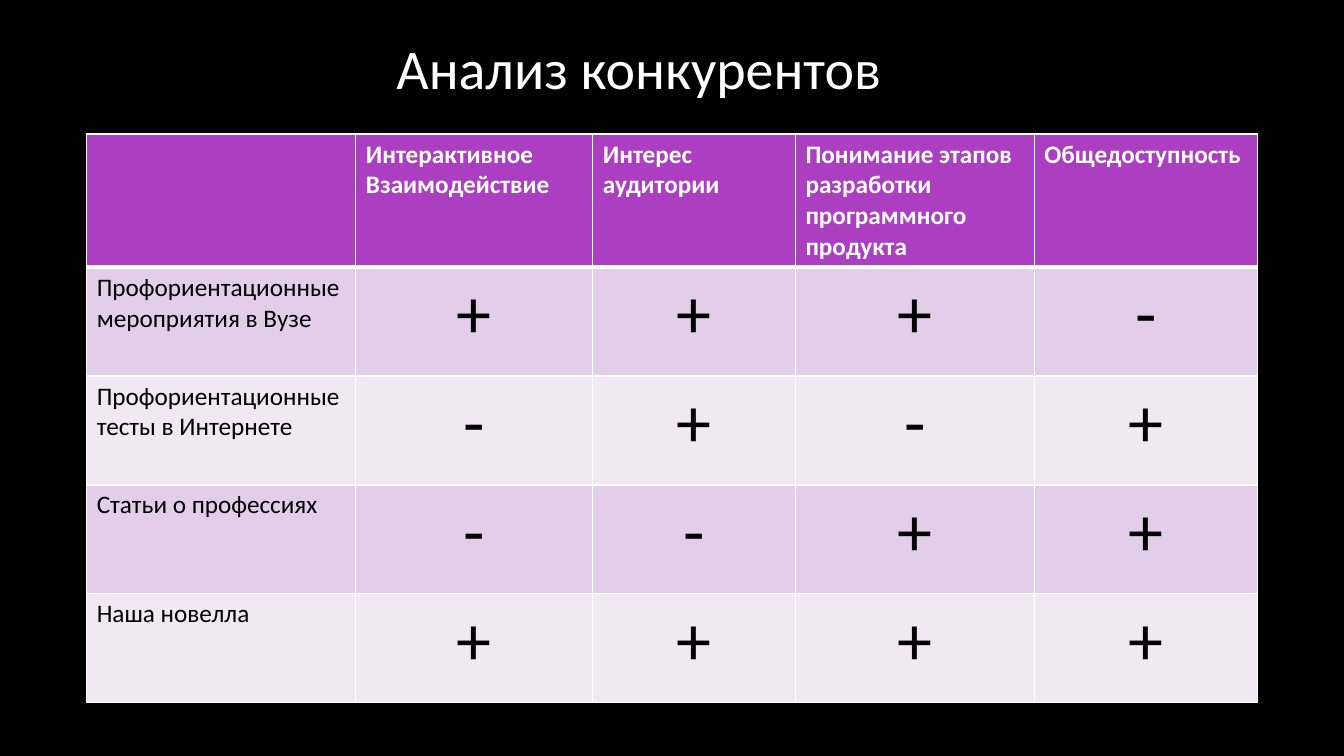
import pptx
import pptx.util
import pptx.dml.color
import pptx.enum.text
import pptx.oxml.ns
import lxml.etree

Inches = pptx.util.Inches
Pt = pptx.util.Pt

TITLE = "Анализ конкурентов"
HEADERS = ["", "Интерактивное Взаимодействие", "Интерес аудитории",
           "Понимание этапов разработки программного продукта", "Общедоступность"]
COMPETITORS = [
    ("Профориентационные мероприятия в Вузе", "+++-"),
    ("Профориентационные тесты в Интернете", "-+-+"),
    ("Статьи о профессиях", "--++"),
    ("Наша новелла", "++++"),
]
COLUMN_WIDTHS = [2.67, 2.35, 2.01, 2.37, 2.21]
HEADER_HEIGHT, ROW_HEIGHT = 1.3, 1.08
COLORS = {"background": "000000", "light": "FFFFFF", "dark": "000000",
          "header": "AC3EC1", "odd": "E3CEE9", "even": "F1E8F4"}


def rgb(name):
    return pptx.dml.color.RGBColor.from_string(COLORS[name])


def format_text(tf, size, color, bold=False, centered=False):
    p = tf.paragraphs[0]
    if centered:
        p.alignment = pptx.enum.text.PP_ALIGN.CENTER
    for r in p.runs:
        r.font.name = "Calibri"
        r.font.size = Pt(size)
        r.font.bold = bold
        r.font.color.rgb = rgb(color)


def set_borders(cell, widths):
    tcPr = cell._tc.get_or_add_tcPr()
    qn = pptx.oxml.ns.qn
    for side, width in widths.items():
        ln = lxml.etree.SubElement(tcPr, qn(f"a:ln{side}"), w=str(Pt(width)))
        fill = lxml.etree.SubElement(ln, qn("a:solidFill"))
        lxml.etree.SubElement(fill, qn("a:srgbClr"), val=COLORS["light"])


prs = pptx.Presentation()
prs.slide_width, prs.slide_height = Inches(13.33), Inches(7.5)
s = prs.slides.add_slide(prs.slide_layouts[5])
s.background.fill.solid()
s.background.fill.fore_color.rgb = rgb("background")

title = s.shapes.title
title.left, title.top = Inches(2.08), Inches(0.14)
title.width, title.height = Inches(8.51), Inches(1.06)
title.text_frame.text = TITLE
title.text_frame.vertical_anchor = pptx.enum.text.MSO_ANCHOR.MIDDLE
format_text(title.text_frame, 40, "light", centered=True)

rows = [HEADERS] + [[name, *marks] for name, marks in COMPETITORS]
heights = [HEADER_HEIGHT] + [ROW_HEIGHT] * len(COMPETITORS)
table = s.shapes.add_table(len(rows), len(HEADERS), Inches(0.86), Inches(1.33),
                           Inches(sum(COLUMN_WIDTHS)), Inches(sum(heights))).table
for column, width in zip(table.columns, COLUMN_WIDTHS):
    column.width = Inches(width)
for row, height in zip(table.rows, heights):
    row.height = Inches(height)

for i, values in enumerate(rows):
    for j, value in enumerate(values):
        cell = table.cell(i, j)
        cell.text_frame.text = value
        is_header, is_mark = i == 0, i > 0 and j > 0
        format_text(cell.text_frame, 50 if is_mark else 18,
                    "light" if is_header else "dark", is_header, is_mark)
        set_borders(cell, {"L": 1, "R": 1, "T": 3 if i == 1 else 1, "B": 3 if is_header else 1})
        cell.fill.solid()
        cell.fill.fore_color.rgb = rgb("header" if is_header else "odd" if i % 2 else "even")

prs.save("out.pptx")
